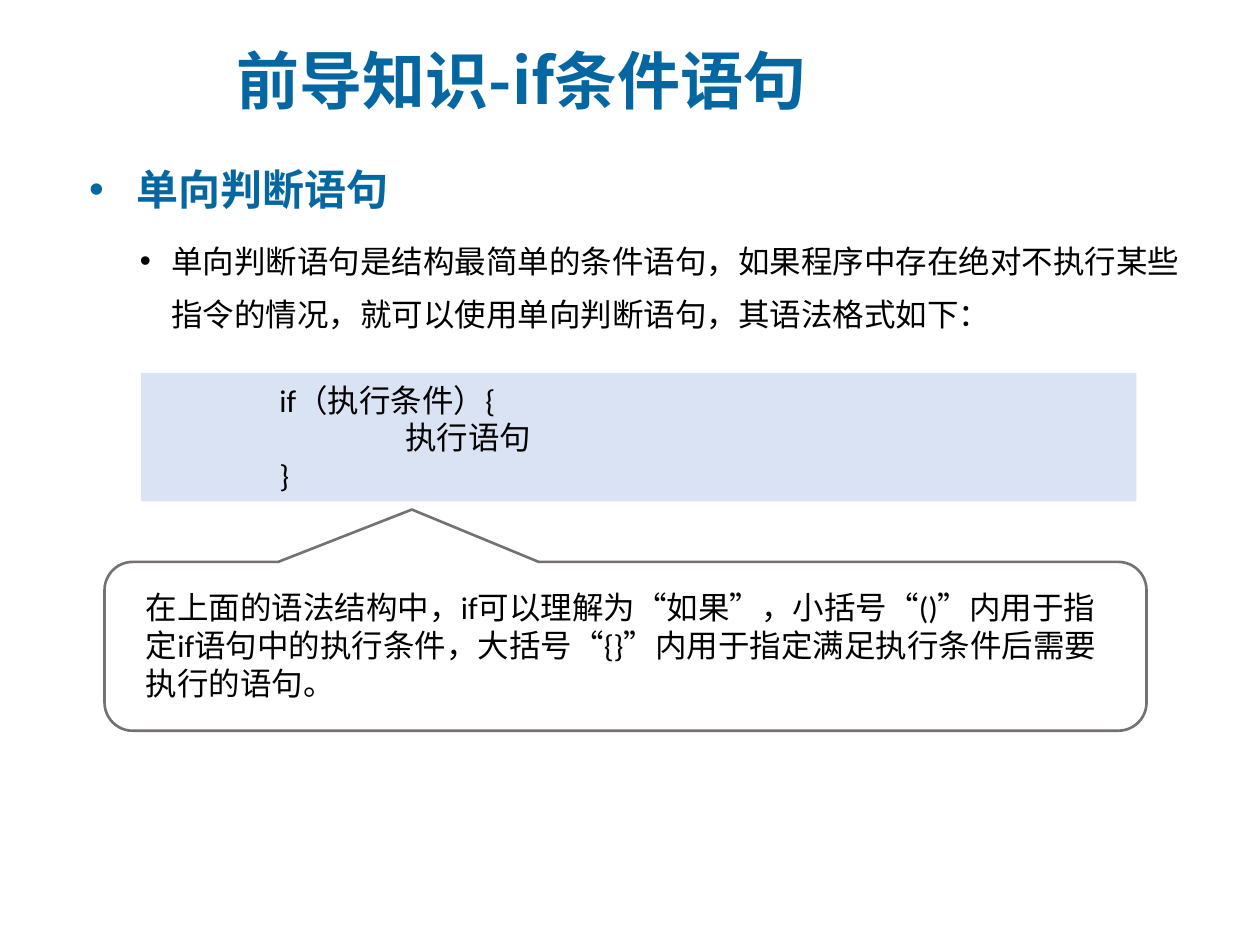
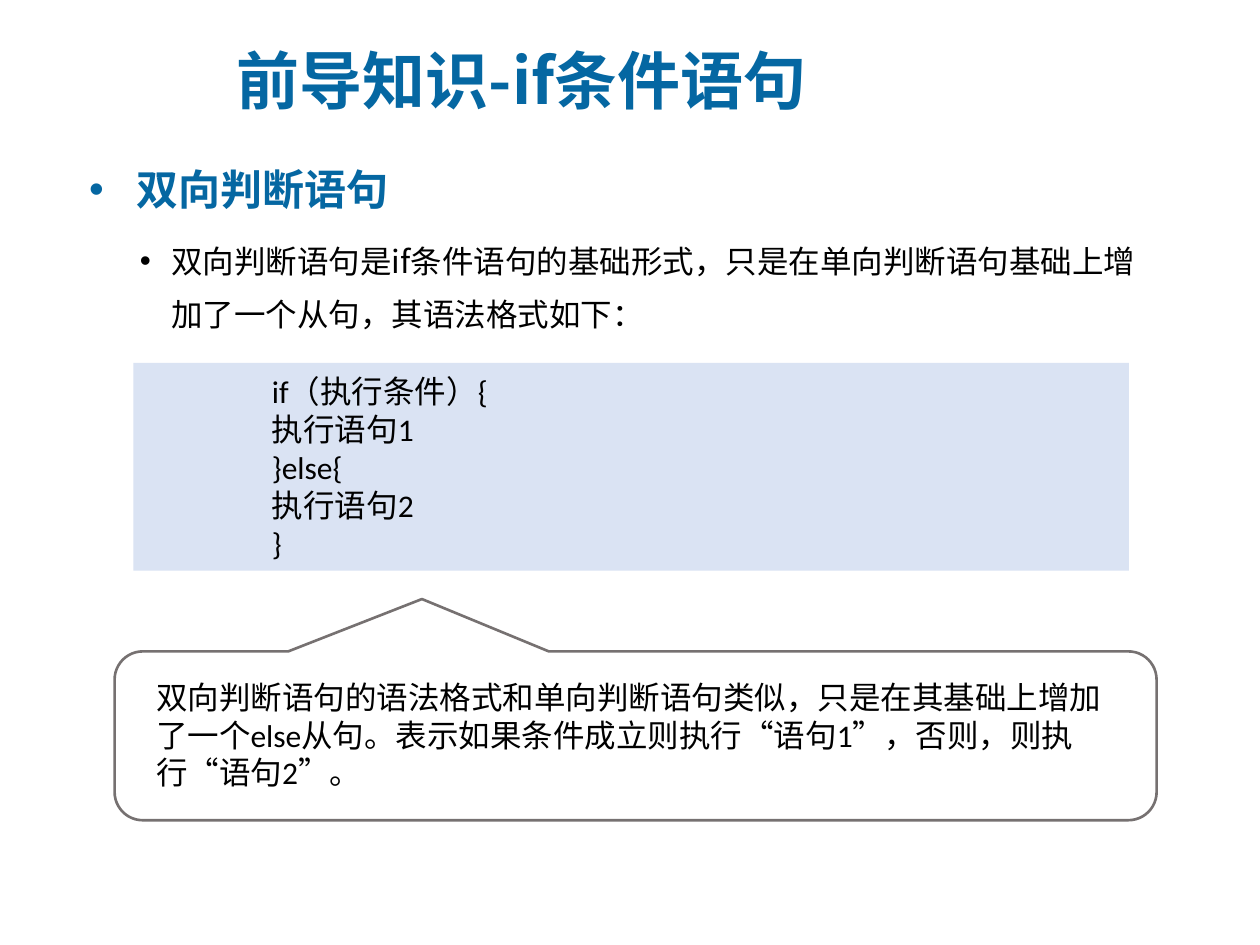
import pptx
import pptx.util
import pptx.dml.color
import pptx.enum.shapes
import pptx.enum.text
import pptx.oxml.ns
import lxml.etree

Color = pptx.dml.color.RGBColor
Pt = pptx.util.Pt
Kind = pptx.enum.shapes.MSO_SHAPE
Text = pptx.enum.text

BLUE = Color(0x05, 0x67, 0xA2)
BLACK = Color(0, 0, 0)
PALE = Color(0xDA, 0xE3, 0xF3)
GREY = Color(0x76, 0x71, 0x71)
LATIN = "Calibri"
HAN = "Noto Sans CJK SC"

# The slide is a grid of 100 columns and 75 rows of square cells.
COLS, ROWS = 100, 75
CELL = pptx.util.Inches(0.1)

TITLE = "前导知识-if条件语句"
TITLE_BOX = (17.8, 2.1, 82.6, 8.4)
HEAD_BOX = (6.1, 10.5, 26.1, 6.4)
CODE_WIDE = 79
NOTE_SIZE = (82.7, 13.4)
NOTE_PAD = (2.3, 1.6)

PAGES = [
    {
        "head": "单向判断语句",
        "intro": "单向判断语句是结构最简单的条件语句，如果程序中存在绝对不执行某些"
                 "指令的情况，就可以使用单向判断语句，其语法格式如下：",
        "intro_box": (5.1, 17.5, 89.8, 9.7),
        "code": [(0, "if（执行条件）{"), (1, "执行语句"), (0, "}")],
        "code_box": (11.2, 29.6, CODE_WIDE, 10.2),
        "note": "在上面的语法结构中，if可以理解为“如果”，小括号“()”内用于指定if语句中的"
                "执行条件，大括号“{}”内用于指定满足执行条件后需要执行的语句。",
        "note_box": (8.3, 44.6, *NOTE_SIZE),
    },
    {
        "head": "双向判断语句",
        "intro": "双向判断语句是if条件语句的基础形式，只是在单向判断语句基础上增加了"
                 "一个从句，其语法格式如下：",
        "intro_box": (5.1, 17.5, 87.4, 9.7),
        "code": [(0, "if（执行条件）{"), (0, "执行语句1"), (0, "}else{"),
                 (0, "执行语句2"), (0, "}")],
        "code_box": (10.6, 28.8, CODE_WIDE, 16.5),
        "note": "双向判断语句的语法格式和单向判断语句类似，只是在其基础上增加了一个else"
                "从句。表示如果条件成立则执行“语句1”，否则，则执行“语句2”。",
        "note_box": (9.1, 51.7, *NOTE_SIZE),
    },
]


def scale(box):
    return [round(n * CELL) for n in box]


def place(shape, box):
    shape.left, shape.top, shape.width, shape.height = scale(box)


def style(para, size, color, font, bold=False):
    para.alignment = Text.PP_ALIGN.LEFT
    for run in para.runs:
        run.font.size = Pt(size)
        run.font.bold = bold
        run.font.name = font
        run.font.color.rgb = color
        east = lxml.etree.SubElement(run.font._element, pptx.oxml.ns.qn("a:ea"))
        east.set("typeface", HAN)


def indent(para, left, hang=0):
    """Set the left margin and hanging indent, both in cells."""
    props = para._p.get_or_add_pPr()
    props.set("marL", str(round(left * CELL)))
    props.set("indent", str(round(-hang * CELL)))
    return props


def bullet(para, left, hang, lines, before):
    para.line_spacing = lines
    para.space_before = Pt(before)
    props = indent(para, left, hang)
    for tag, key, value in (("a:buFont", "typeface", "Arial"),
                            ("a:buChar", "char", "•")):
        lxml.etree.SubElement(props, pptx.oxml.ns.qn(tag)).set(key, value)


def draw_title(slide, box):
    title = slide.shapes.title
    place(title, box)
    frame = title.text_frame
    frame.text = TITLE
    frame.auto_size = Text.MSO_AUTO_SIZE.NONE
    frame.vertical_anchor = Text.MSO_ANCHOR.MIDDLE
    style(frame.paragraphs[0], 36, BLUE, HAN, True)


def draw_intro(slide, box, words):
    body = slide.placeholders[1]
    place(body, box)
    frame = body.text_frame
    frame.text = words
    frame.auto_size = Text.MSO_AUTO_SIZE.NONE
    para = frame.paragraphs[0]
    para.level = 1
    style(para, 18, BLACK, HAN)
    bullet(para, 7.5, 2.5, 1.4, 5)


def draw_head(slide, box, words):
    frame = slide.shapes.add_textbox(*scale(box)).text_frame
    frame.text = words
    frame.word_wrap = False
    frame.auto_size = Text.MSO_AUTO_SIZE.SHAPE_TO_FIT_TEXT
    para = frame.paragraphs[0]
    style(para, 24, BLUE, LATIN, True)
    bullet(para, 3.75, 3.75, 1.5, 4.8)


def draw_code(slide, box, lines):
    panel = slide.shapes.add_shape(Kind.RECTANGLE, *scale(box))
    panel.shadow.inherit = False
    panel.fill.solid()
    panel.fill.fore_color.rgb = PALE
    panel.line.fill.background()
    frame = panel.text_frame
    frame.vertical_anchor = Text.MSO_ANCHOR.MIDDLE
    frame.text = "\n".join(words for _, words in lines)
    for para, (depth, _) in zip(frame.paragraphs, lines):
        para.level = 2
        style(para, 18, BLACK, LATIN)
        indent(para, 10 * (depth + 1))


def draw_note(slide, box, words):
    """Draw a callout that points up at the code, with its text inside."""
    left, top, wide, high = box
    pad_x, pad_y = NOTE_PAD
    inner = (left + pad_x, top + pad_y, wide - 1.6 * pad_x, high - 2 * pad_y)
    frame = slide.shapes.add_textbox(*scale(inner)).text_frame
    frame.text = words
    frame.word_wrap = True
    style(frame.paragraphs[0], 18, BLACK, LATIN)

    bubble = slide.shapes.add_shape(Kind.ROUNDED_RECTANGULAR_CALLOUT, *scale(box))
    bubble.shadow.inherit = False
    bubble.fill.background()
    bubble.line.color.rgb = GREY
    bubble.line.width = Pt(1.5)
    for i, share in enumerate((-0.205, -0.81, 0.167)):
        bubble.adjustments[i] = share


def draw_page(deck, page):
    slide = deck.slides.add_slide(deck.slide_layouts[1])
    draw_title(slide, TITLE_BOX)
    draw_intro(slide, page["intro_box"], page["intro"])
    draw_head(slide, HEAD_BOX, page["head"])
    draw_code(slide, page["code_box"], page["code"])
    draw_note(slide, page["note_box"], page["note"])


def main():
    deck = pptx.Presentation()
    deck.slide_width = COLS * CELL
    deck.slide_height = ROWS * CELL
    for page in PAGES:
        draw_page(deck, page)
    deck.save("out.pptx")


if __name__ == "__main__":
    main()
